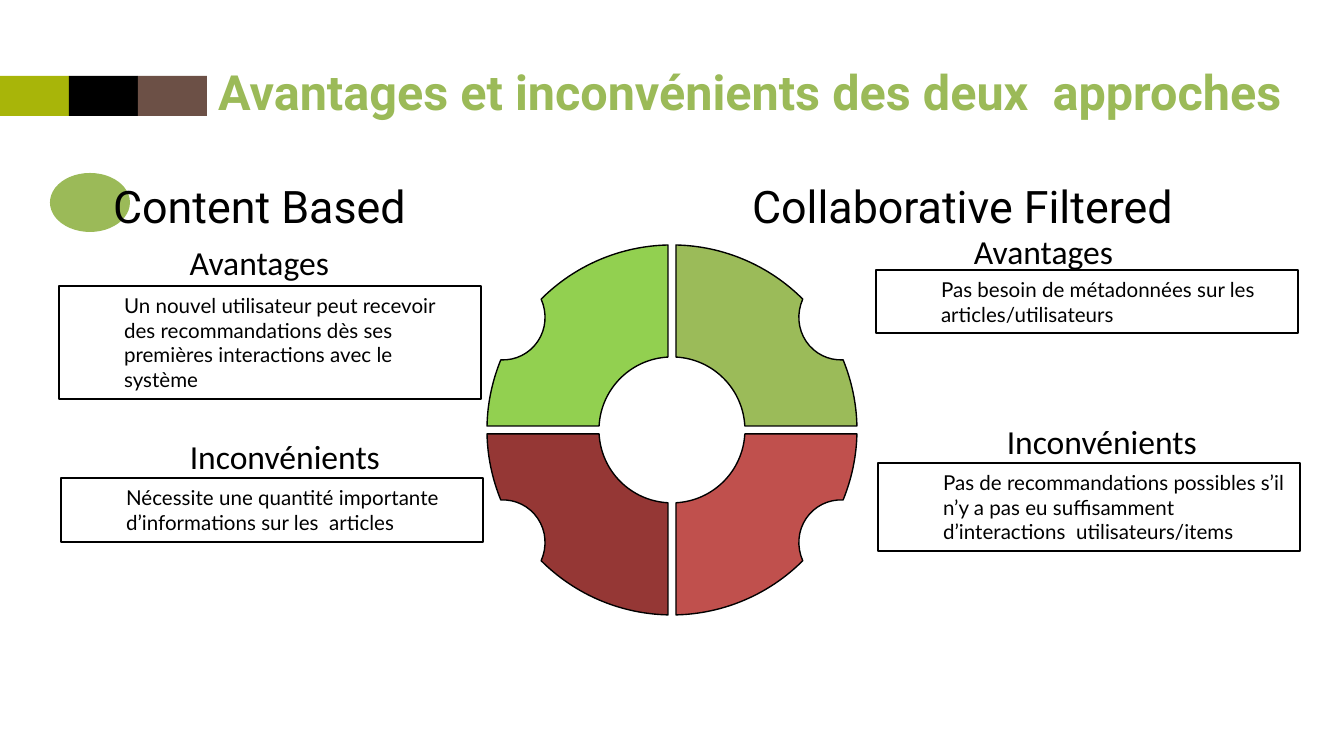
import math

from lxml import etree
from pptx import Presentation
from pptx import util as u
from pptx.dml.color import RGBColor
from pptx.enum import shapes, text
from pptx.oxml.ns import qn

EMU_PER_PX = 914400 / 134.4
BLACK = "000000"
GREEN = "9BBA58"


def px(length):
    return u.Emu(round(length * EMU_PER_PX))


def color(hex_string):
    return RGBColor.from_string(hex_string)


def style(shape, fill=None, line=None):
    shape.shadow.inherit = False
    if fill:
        shape.fill.solid()
        shape.fill.fore_color.rgb = color(fill)
    else:
        shape.fill.background()
    if line:
        shape.line.color.rgb = color(line)
        shape.line.width = u.Pt(0.75)
    else:
        shape.line.fill.background()


def add_shape(slide, kind, box, **look):
    shape = slide.shapes.add_shape(kind, *map(px, box))
    style(shape, **look)
    return shape


def write(shape, content, font, size, fill=BLACK, bold=False, align=text.PP_ALIGN.LEFT,
          insets=(0, 1, 0, 0), indent=0):
    """Fill a shape with one paragraph; insets are left, top, right, bottom."""
    frame = shape.text_frame
    frame.word_wrap = True
    frame.vertical_anchor = text.MSO_ANCHOR.TOP
    (frame.margin_left, frame.margin_top,
     frame.margin_right, frame.margin_bottom) = map(px, insets)
    paragraph = frame.paragraphs[0]
    paragraph.alignment = align
    properties = paragraph._p.get_or_add_pPr()
    properties.set("marL", str(px(indent)))
    properties.set("indent", "0")
    run = paragraph.add_run()
    run.text = content
    run.font.name = font
    run.font.size = u.Pt(size)
    run.font.bold = bold
    run.font.color.rgb = color(fill)


def add_text(slide, box, content, **form):
    write(slide.shapes.add_textbox(*map(px, box)), content, **form)


def title_band(slide, left, top):
    width, height = 69, 40
    for index, fill in enumerate(("A8B509", BLACK, "6C5046")):
        add_shape(slide, shapes.MSO_SHAPE.RECTANGLE,
                  (left + index * width, top, width, height), fill=fill)
    add_text(slide, (left + 218, top - 15, 1105, 60),
             "Avantages et inconvénients des deux  approches",
             font="Roboto", size=26, fill=GREEN, bold=True)


def headings(slide, left, top):
    add_shape(slide, shapes.MSO_SHAPE.OVAL, (left, top, 80, 59), fill=GREEN)
    for offset, content in ((63, "Content Based"), (702, "Collaborative Filtered")):
        add_text(slide, (left + offset, top + 5, 500, 56), content, font="Roboto", size=24)


def arc(center, radius, start, end):
    """Bezier points of a circular arc: start, two controls, end; angles in degrees."""
    start, end = math.radians(start), math.radians(end)
    reach = 4 / 3 * math.tan((end - start) / 4)

    def point(angle, tangent):
        return (center[0] + radius * (math.cos(angle) - tangent * math.sin(angle)),
                center[1] + radius * (math.sin(angle) + tangent * math.cos(angle)))

    return [point(start, 0), point(start, reach), point(end, -reach), point(end, 0)]


def quadrant_outline(outer=185, inner=73, gap=4):
    """Notched ring quarter, for positive x and y around the origin."""
    outer_gap, inner_gap = (math.degrees(math.asin(gap / r)) for r in (outer, inner))
    notch = (169, 112)
    return (arc((0, 0), outer, 90 - outer_gap, 45)
            + arc(notch, 42, 154, 214)[1:]
            + arc(notch, 42, 214, 273)[1:]
            + arc((0, 0), outer, 22, outer_gap)[1:]
            + arc((0, 0), inner, inner_gap, 90 - inner_gap))


def bend(shape, curve_starts=(0, 3, 6, 9, 13)):
    """Turn each three line segments that begin at a start into one curve."""
    lines = list(shape._element.iter(qn("a:lnTo")))
    for start in curve_starts:
        curve = etree.Element(qn("a:cubicBezTo"))
        lines[start].addprevious(curve)
        for line in lines[start:start + 3]:
            curve.append(line[0])
            line.getparent().remove(line)


def ring(slide, center_x, center_y):
    quadrants = ((-1, 1, "953735"), (1, 1, "C0504D"), (1, -1, "9BBB59"), (-1, -1, "92D050"))
    for x_sign, y_sign, fill in quadrants:
        points = [(px(center_x + x_sign * x), px(center_y + y_sign * y))
                  for x, y in quadrant_outline()]
        builder = slide.shapes.build_freeform(*points[0])
        builder.add_line_segments(points[1:], close=False)
        builder.add_line_segments([], close=True)
        quadrant = builder.convert_to_shape()
        bend(quadrant)
        style(quadrant, fill=fill, line=BLACK)


def argument(slide, box, label, label_offset, content):
    """Framed note with its label, whose corner is offset from that of the note."""
    left, top = box[:2]
    add_text(slide, (left + label_offset[0], top + label_offset[1], 313, 64), label,
             font="Calibri", size=18, align=text.PP_ALIGN.RIGHT, insets=(13, 13, 13, 13))
    note = add_shape(slide, shapes.MSO_SHAPE.RECTANGLE, box, line=BLACK)
    write(note, content, font="Lato", size=11, insets=(13, 7, 13, 7), indent=52)


def main():
    presentation = Presentation()
    presentation.slide_width, presentation.slide_height = px(1344), px(756)
    slide = presentation.slides.add_slide(presentation.slide_layouts[6])
    title_band(slide, 0, 76)
    ring(slide, 672, 430)
    headings(slide, 50, 173)
    argument(slide, (59, 286, 422, 113), "Avantages", (-30, -57),
             "Un nouvel utilisateur peut recevoir des recommandations dès ses "
             "premières interactions avec le système")
    argument(slide, (61, 478, 422, 64), "Inconvénients", (19, -55),
             "Nécessite une quantité importante d’informations sur les  articles")
    argument(slide, (876, 270, 422, 63), "Avantages", (-63, -52),
             "Pas besoin de métadonnées sur les articles/utilisateurs")
    argument(slide, (878, 463, 422, 88), "Inconvénients", (19, -55),
             "Pas de recommandations possibles s’il n’y a pas eu suffisamment "
             "d’interactions  utilisateurs/items")
    presentation.save("out.pptx")


if __name__ == "__main__":
    main()
